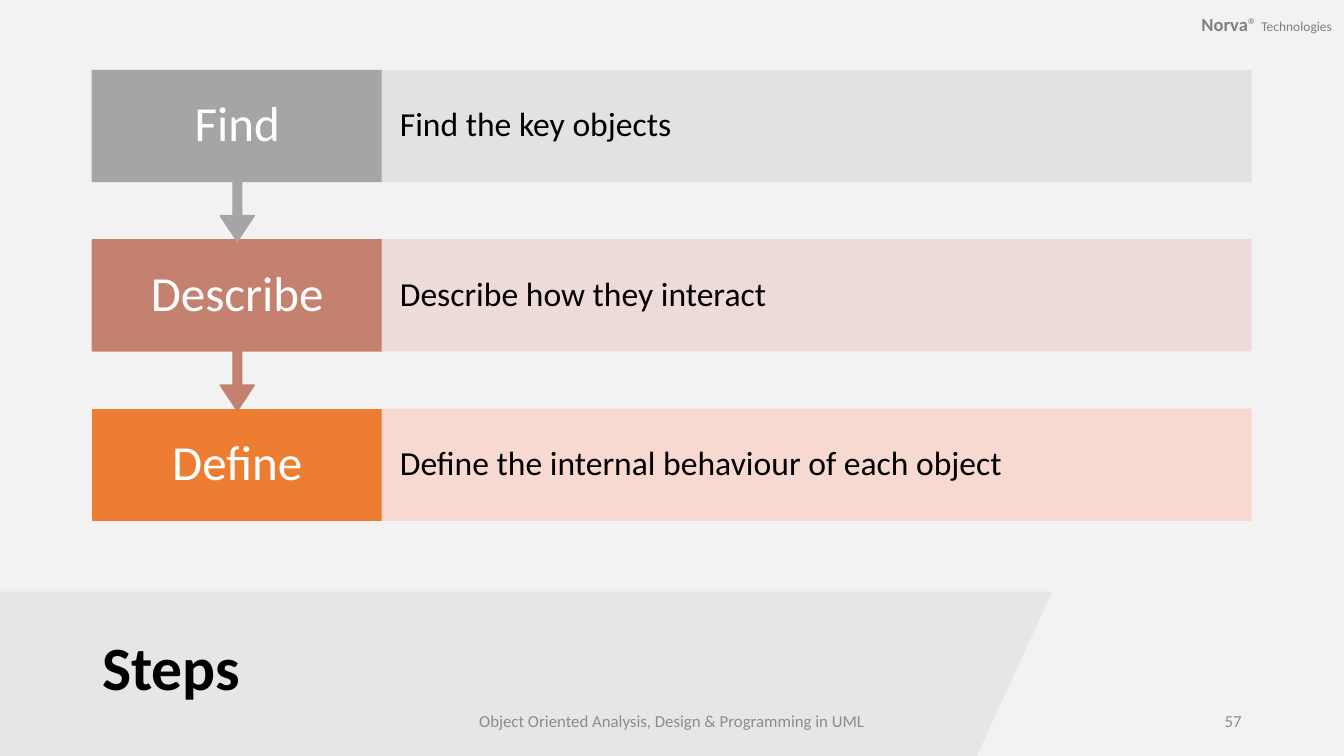
from lxml import etree
from pptx import Presentation
from pptx.dml.color import RGBColor
from pptx.enum.shapes import MSO_SHAPE
from pptx.enum.text import MSO_ANCHOR, PP_ALIGN
from pptx.oxml.ns import qn
from pptx.util import Pt

COLORS = {
    "page": "F2F2F2", "band": "E7E6E6", "black": "000000", "white": "FFFFFF",
    "brand": "808080", "foot": "8C8C8C",
    "grey": "A5A5A5", "rose": "C48170", "orange": "ED7D31",
    "pale grey": "E1E1E1", "pale rose": "EDD9D7", "pale orange": "F8D7CE",
}
STEPS = [
    ("Find", "Find the key objects", "grey"),
    ("Describe", "Describe how they interact", "rose"),
    ("Define", "Define the internal behaviour of each object", "orange"),
]
LEFT, TOP, PITCH = 66, 50.4, 121
HEAD, BAR, HIGH, CALL = 207, 620.6, 79.2, 122


def paint(shape, color, alpha=None):
    """Fill and outline a shape in one colour, with optional opacity in percent."""
    shape.shadow.inherit = False
    shape.line.width = Pt(1)
    for fill in (shape.fill, shape.line.fill):
        fill.solid()
        fill.fore_color.rgb = RGBColor.from_string(COLORS[color])
    if alpha:
        for tone in shape._element.spPr.iter(qn("a:srgbClr")):
            etree.SubElement(tone, qn("a:alpha"), val=str(alpha * 1000))


def write(shape, text, size, color, align=PP_ALIGN.LEFT, pad=(7.2, 3.6),
          bold=False, space=1.0):
    """Set one middle-anchored paragraph and return it."""
    frame = shape.text_frame
    frame.text = text
    frame.word_wrap = True
    frame.vertical_anchor = MSO_ANCHOR.MIDDLE
    frame.margin_left = frame.margin_right = Pt(pad[0])
    frame.margin_top = frame.margin_bottom = Pt(pad[1])
    para = frame.paragraphs[0]
    para.alignment = align
    para.line_spacing = space
    font = para.runs[0].font
    font.name, font.size, font.bold = "Calibri", Pt(size), bold
    font.color.rgb = RGBColor.from_string(COLORS[color])
    return para


deck = Presentation()
deck.slide_width, deck.slide_height = Pt(960), Pt(540)
slide = deck.slides.add_slide(deck.slide_layouts[6])
slide.background.fill.solid()
slide.background.fill.fore_color.rgb = RGBColor.from_string(COLORS["page"])
shapes = slide.shapes

# Brand label
box = shapes.add_textbox(Pt(821.5), Pt(0.7), Pt(138.5), Pt(32.4))
para = write(box, "Norva", 13.2, "brand", PP_ALIGN.RIGHT, (8.64, 4.32), True)
for text, size in (("® ", 13.2), ("Technologies", 9.6)):
    run = para.add_run()
    run.text = text
    run.font.name, run.font.size = "Calibri", Pt(size)
    run.font.color.rgb = RGBColor.from_string(COLORS["brand"])

# Title band
path = shapes.build_freeform(Pt(0), Pt(422.6))
path.add_line_segments([(Pt(x), Pt(y)) for x, y in
                        ((751.7, 422.6), (697.7, 540), (0, 540))])
band = path.convert_to_shape()
paint(band, "band")
band.line.fill.background()
title = shapes.add_textbox(Pt(LEFT), Pt(435.6), Pt(636), Pt(86.4))
write(title, "Steps", 44, "black", bold=True, space=0.9)

# Steps, last one first so that each arrow overlaps the box below
for i, (name, text, color) in reversed(list(enumerate(STEPS))):
    top = Pt(TOP + i * PITCH)
    last = i == len(STEPS) - 1
    kind = MSO_SHAPE.RECTANGLE if last else MSO_SHAPE.DOWN_ARROW_CALLOUT
    head = shapes.add_shape(kind, Pt(LEFT), top, Pt(HEAD), Pt(HIGH if last else CALL))
    if not last:
        for k, value in enumerate((0.05, 0.1, 0.15, 0.65)):
            head.adjustments[k] = value
    paint(head, color)
    write(head, name, 35, "white", PP_ALIGN.CENTER, (14.4, 19.4), space=0.9)

    bar = shapes.add_shape(MSO_SHAPE.RECTANGLE, Pt(LEFT + HEAD), top, Pt(BAR), Pt(HIGH))
    paint(bar, "pale " + color, 90)
    write(bar, text, 24, "black", pad=(12.6, 23.8), space=0.9)

# Footer and page number
for left, width, text, align in (
    (318, 324, "Object Oriented Analysis, Design & Programming in UML", PP_ALIGN.CENTER),
    (678, 216, "57", PP_ALIGN.RIGHT),
):
    box = shapes.add_textbox(Pt(left), Pt(500.5), Pt(width), Pt(28.8))
    write(box, text, 12, "foot", align)

deck.save("out.pptx")
